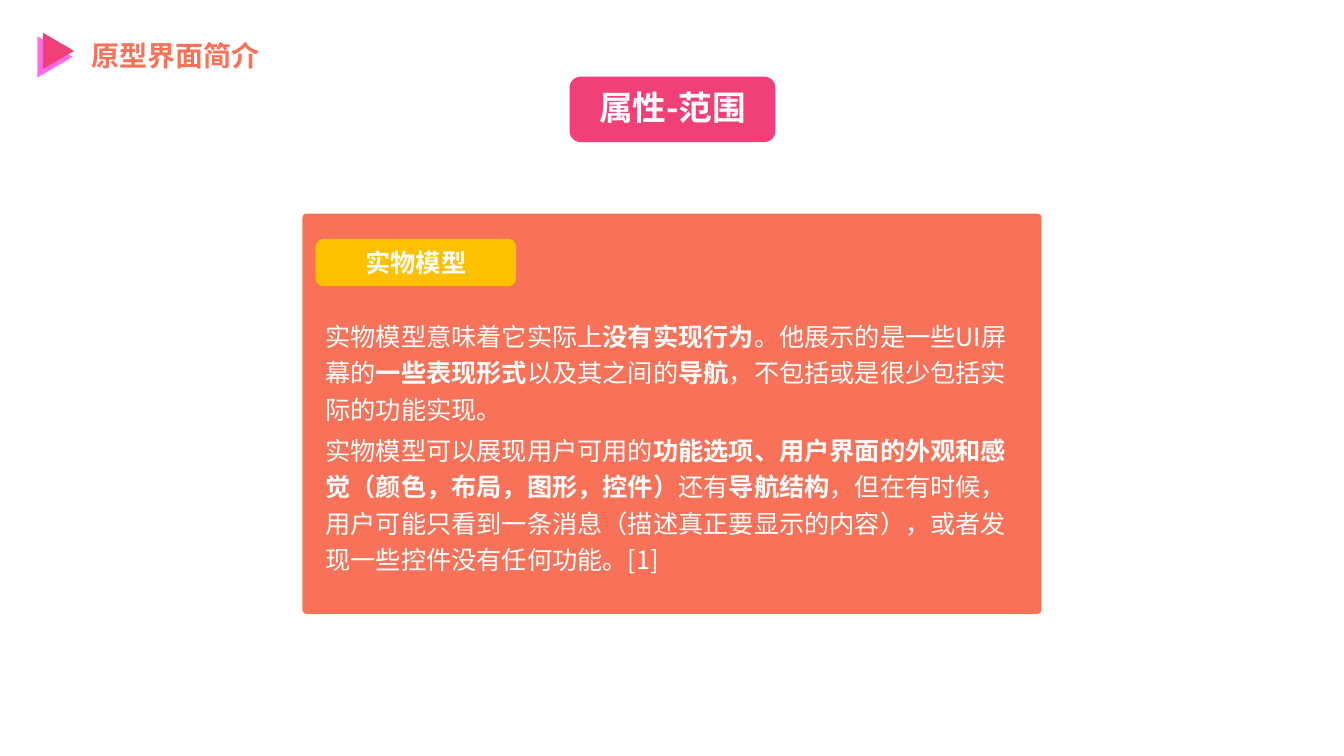
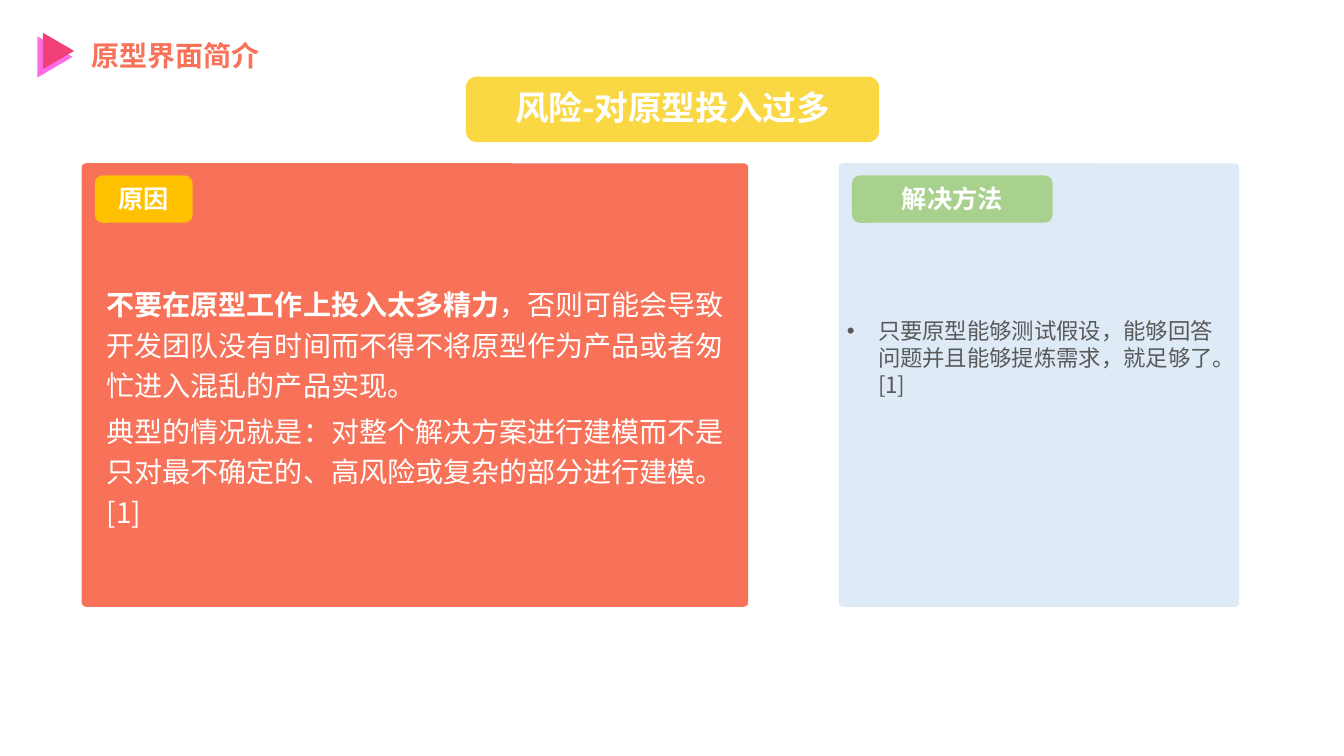
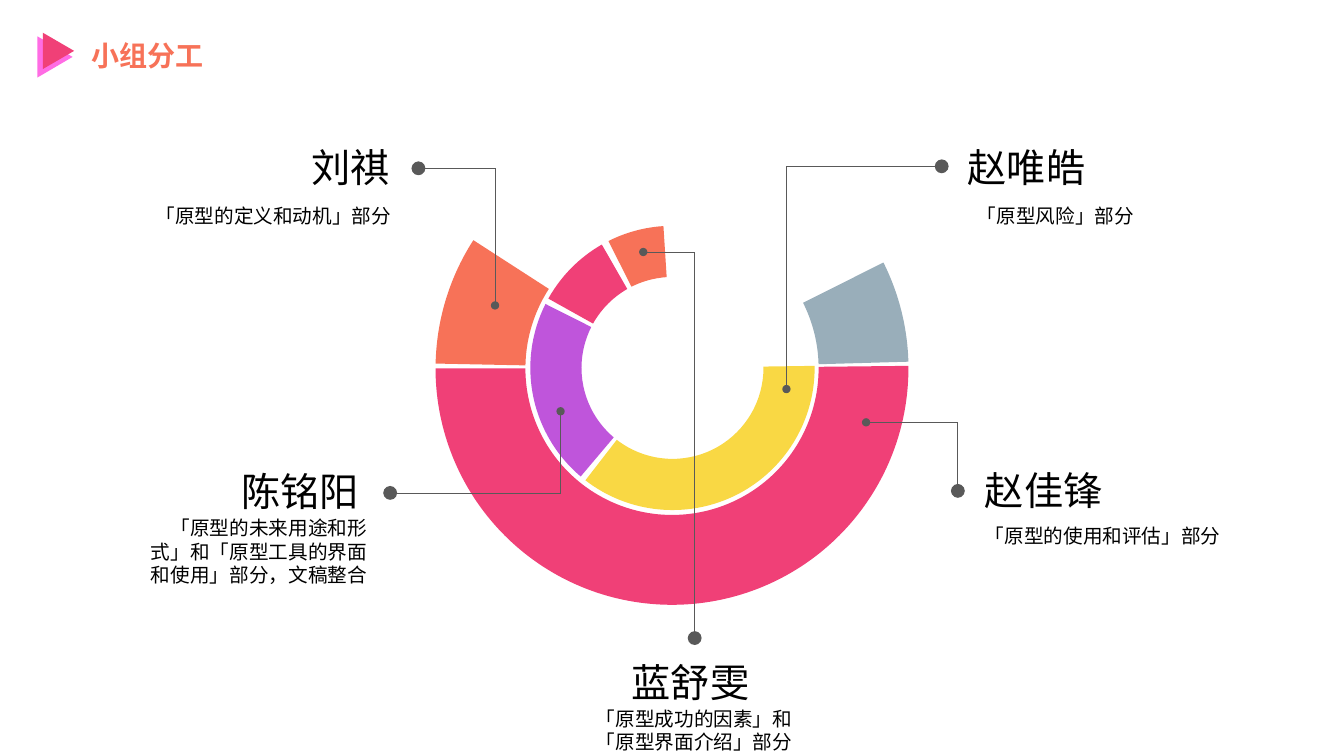
from pptx import Presentation
from pptx.dml.color import RGBColor
from pptx.enum.shapes import MSO_CONNECTOR as Connector, MSO_SHAPE as Shape
from pptx.enum.text import PP_ALIGN as Align
from pptx.oxml.ns import qn
from pptx.util import Emu, Pt
from lxml.etree import SubElement

EMU_PER_PX = 9144
SLIDE_WIDTH, SLIDE_HEIGHT = 1333, 750
FONT = "Noto Sans CJK SC"
COLORS = {
    "coral": "F77258",
    "pink": "F04077",
    "magenta": "FF6CE4",
    "amber": "FFC000",
    "yellow": "F9D844",
    "purple": "BF55DB",
    "gray_blue": "99AEBA",
    "pale_blue": "DEEBF7",
    "green": "A9D18E",
    "gray": "595959",
    "white": "FFFFFF",
    "black": "000000",
}
OUTER_RING = (432, 131, 469)
INNER_RING = (526, 224, 282)


def px(value):
    return Emu(round(value * EMU_PER_PX))


def rgb(color):
    return RGBColor.from_string(COLORS[color])


def add_figure(slide, kind, box, fill, adjustments=(), rotation=0):
    shape = slide.shapes.add_shape(kind, *map(px, box))
    shape.shadow.inherit = False
    shape.fill.solid()
    shape.fill.fore_color.rgb = rgb(fill)
    shape.line.fill.background()
    shape.rotation = rotation
    for index, value in enumerate(adjustments):
        shape.adjustments[index] = value
    return shape


def add_run(paragraph, text, size, color, bold):
    run = paragraph.add_run()
    run.text = text
    run.font.size = Pt(size)
    run.font.bold = bold
    run.font.color.rgb = rgb(color)
    run.font.name = FONT
    properties = run._r.get_or_add_rPr()
    properties.set("lang", "zh-CN")
    SubElement(properties, qn("a:ea")).set("typeface", FONT)


def add_bullet(paragraph, indent):
    properties = paragraph._p.get_or_add_pPr()
    properties.set("marL", str(px(indent)))
    properties.set("indent", str(-px(indent)))
    SubElement(properties, qn("a:buFont")).set("typeface", "Arial")
    SubElement(properties, qn("a:buChar")).set("char", "•")


def add_text(slide, box, paragraphs, size, color, align=Align.LEFT,
             spacing=None, wrap=True, bullet=0):
    frame = slide.shapes.add_textbox(*map(px, box)).text_frame
    frame.word_wrap = wrap
    for index, runs in enumerate(paragraphs):
        paragraph = frame.add_paragraph() if index else frame.paragraphs[0]
        if bullet:
            add_bullet(paragraph, bullet)
        paragraph.alignment = align
        if spacing:
            paragraph.line_spacing = spacing
        if index:
            paragraph.space_before = Pt(size * 0.2)
        for text, bold in runs:
            add_run(paragraph, text, size, color, bold)


def add_page(presentation, title):
    slide = presentation.slides.add_slide(presentation.slide_layouts[6])
    add_text(slide, (81, 33, 222, 44), [[(title, True)]], 20, "coral")
    add_figure(slide, Shape.ISOSCELES_TRIANGLE, (34, 39, 41, 35), "magenta", rotation=90)
    add_figure(slide, Shape.ISOSCELES_TRIANGLE, (40, 35, 36, 31), "pink", rotation=90)
    return slide


def add_label(slide, box, fill, text, size, inset, text_height):
    left, top, width, height = box
    add_figure(slide, Shape.ROUNDED_RECTANGLE, box, fill)
    add_text(slide, (left - 3, top + inset, width + 6, text_height),
             [[(text, True)]], size, "white", Align.CENTER)


def add_heading(slide, text, width, fill):
    left = (SLIDE_WIDTH - width + 1) // 2
    add_label(slide, (left, 76, width, 65), fill, text, 24, 5, 50)


def add_panel(slide, box, fill, badge, badge_width, badge_fill, badge_drop):
    left, top = box[:2]
    add_figure(slide, Shape.ROUNDED_RECTANGLE, box, fill, [0.01])
    add_label(slide, (left + 13, top + badge_drop, badge_width, 47),
              badge_fill, badge, 18, 3, 40)


def add_arc(slide, ring, start, end, thickness, fill):
    left, top, size = ring
    add_figure(slide, Shape.BLOCK_ARC, (left, top, size, size), fill,
               [start * 0.6, end * 0.6, thickness])


def add_line(slide, start, end, marker, marker_size):
    connector = slide.shapes.add_connector(
        Connector.STRAIGHT, *map(px, (*start, *end)))
    connector.line.width = Pt(0.5)
    connector.line.color.rgb = rgb("gray")
    marker_element = SubElement(connector.line._get_or_add_ln(), qn(marker))
    marker_element.set("type", "oval")
    marker_element.set("w", marker_size)
    marker_element.set("len", marker_size)
    SubElement(connector._element.spPr, qn("a:effectLst"))


def add_member(slide, name, name_box, duty, duty_box, name_align, duty_align, leader):
    start, elbow, end = leader
    add_line(slide, start, elbow, "a:headEnd", "med")
    add_line(slide, elbow, end, "a:tailEnd", "lg")
    add_text(slide, name_box, [[(name, False)]], 28, "black", name_align, wrap=False)
    add_text(slide, duty_box, [[(duty, False)]], 14, "black", duty_align)


def build_scope(presentation):
    slide = add_page(presentation, "原型界面简介")
    add_heading(slide, "属性-范围", 204, "pink")
    add_panel(slide, (300, 212, 733, 397), "coral", "实物模型", 199, "amber", 25)
    add_text(slide, (313, 308, 705, 271), [
        [("实物模型意味着它实际上", False),
         ("没有实现行为", True),
         ("。他展示的是一些UI屏幕的", False),
         ("一些表现形式", True),
         ("以及其之间的", False),
         ("导航", True),
         ("，不包括或是很少包括实际的功能实现。", False)],
        [("实物模型可以展现用户可用的", False),
         ("功能选项、用户界面的外观和感觉（颜色，布局，图形，控件）", True),
         ("还有", False),
         ("导航结构", True),
         ("，但在有时候，用户可能只看到一条消息（描述真正要显示的内容），"
          "或者发现一些控件没有任何功能。[1]", False)],
    ], 18, "white", spacing=1.2)


def build_risk(presentation):
    slide = add_page(presentation, "原型界面简介")
    add_panel(slide, (81, 162, 661, 440), "coral", "原因", 97, "amber", 12)
    add_text(slide, (96, 274, 648, 306), [
        [("不要在原型工作上投入太多精力", True),
         ("，否则可能会导致开发团队没有时间而不得不将原型作为产品"
          "或者匆忙进入混乱的产品实现。", False)],
        [("典型的情况就是：对整个解决方案进行建模而不是只对最不确定的、"
          "高风险或复杂的部分进行建模。[1]", False)],
    ], 20, "white", spacing=1.2)
    add_panel(slide, (832, 162, 397, 440), "pale_blue", "解决方法", 199, "green", 12)
    add_text(slide, (830, 310, 401, 118), [
        [("只要原型能够测试假设，能够回答问题并且能够提炼需求，就足够了。[1]", False)],
    ], 16, "gray", bullet=31)
    add_heading(slide, "风险-对原型投入过多", 410, "yellow")


def build_team(presentation):
    slide = add_page(presentation, "小组分工")
    arcs = [
        (OUTER_RING, 359.38, 180, 0.19, "pink"),
        (INNER_RING, 130.21, 206.73, 0.18, "purple"),
        (INNER_RING, 359.17, 127.75, 0.18, "yellow"),
        (INNER_RING, 209.19, 240.21, 0.18, "pink"),
        (OUTER_RING, 181.17, 212.84, 0.19, "coral"),
        (OUTER_RING, 333.39, 358.37, 0.19, "gray_blue"),
        (INNER_RING, 243.22, 266.36, 0.18, "coral"),
    ]
    for arc in arcs:
        add_arc(slide, *arc)
    members = [
        ("赵唯皓", (950, 137, 138, 57), "「原型风险」部分", (959, 197, 245, 34),
         Align.LEFT, Align.LEFT, [(780, 386), (780, 165), (934, 165)]),
        ("赵佳锋", (967, 458, 138, 57), "「原型的使用和评估」部分", (967, 515, 287, 34),
         Align.LEFT, Align.LEFT, [(859, 419), (950, 419), (950, 487)]),
        ("刘祺", (297, 137, 99, 57), "「原型的定义和动机」部分", (73, 197, 325, 34),
         Align.RIGHT, Align.RIGHT, [(491, 303), (491, 167), (415, 167)]),
        ("陈铭阳", (228, 459, 138, 57),
         "「原型的未来用途和形式」和「原型工具的界面和使用」部分，文稿整合",
         (129, 507, 245, 81),
         Align.RIGHT, Align.RIGHT, [(556, 408), (556, 489), (387, 489)]),
        ("蓝舒雯", (615, 648, 138, 57),
         "「原型成功的因素」和「原型界面介绍」部分", (566, 696, 245, 57),
         Align.RIGHT, Align.CENTER, [(638, 250), (689, 250), (689, 633)]),
    ]
    for member in members:
        add_member(slide, *member)


def main():
    presentation = Presentation()
    presentation.slide_width = px(SLIDE_WIDTH)
    presentation.slide_height = px(SLIDE_HEIGHT)
    build_scope(presentation)
    build_risk(presentation)
    build_team(presentation)
    presentation.save("out.pptx")


if __name__ == "__main__":
    main()
